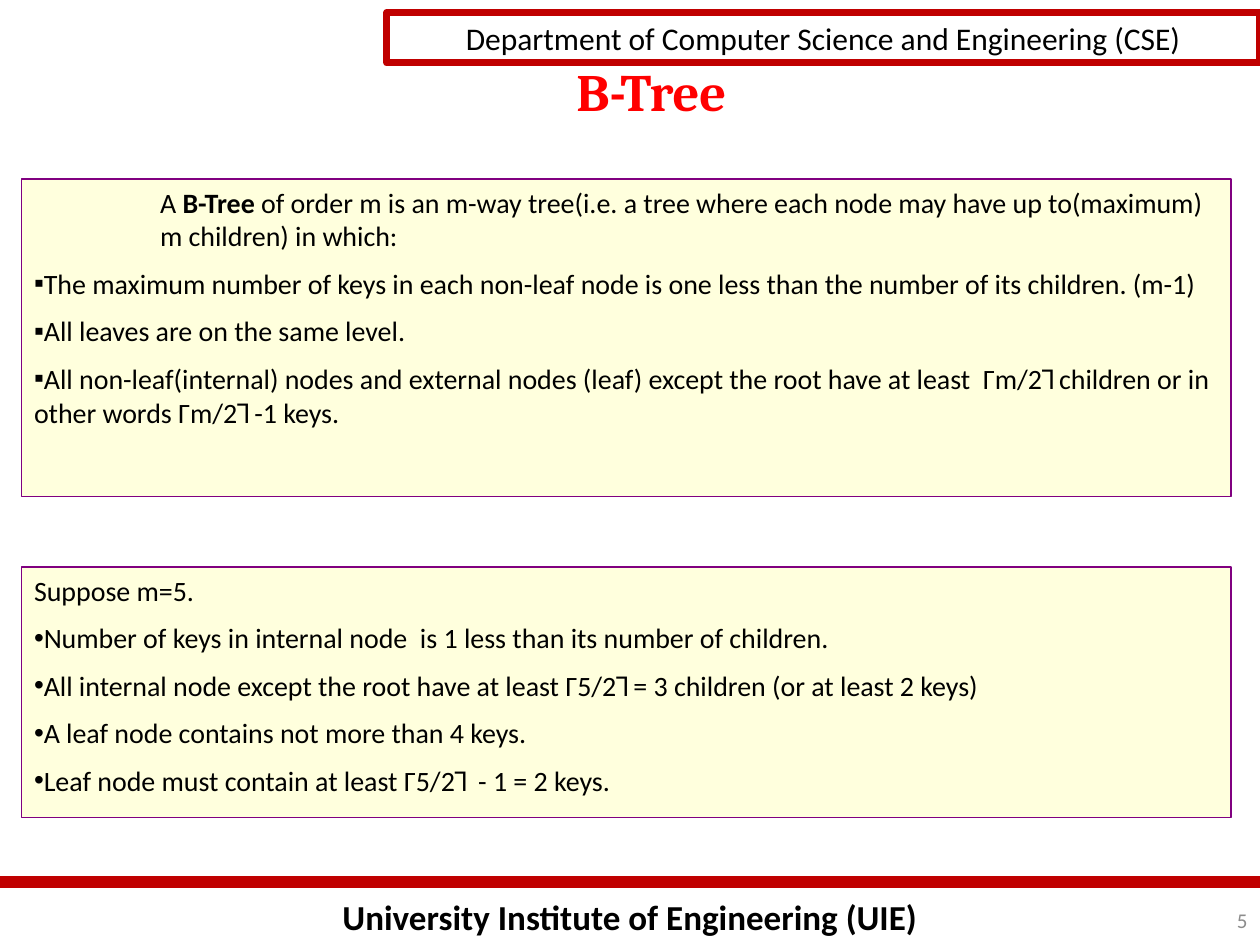
from lxml import etree
from pptx import Presentation
from pptx.dml.color import RGBColor
from pptx.enum.shapes import MSO_CONNECTOR, MSO_SHAPE
from pptx.enum.text import MSO_ANCHOR, MSO_AUTO_SIZE, PP_ALIGN
from pptx.oxml.ns import qn
from pptx.util import Inches, Pt

STRAIGHT = MSO_CONNECTOR.STRAIGHT
RECTANGLE = MSO_SHAPE.RECTANGLE
TOP, MIDDLE = MSO_ANCHOR.TOP, MSO_ANCHOR.MIDDLE
NO_AUTOFIT = MSO_AUTO_SIZE.NONE
LEFT, CENTER, RIGHT = PP_ALIGN.LEFT, PP_ALIGN.CENTER, PP_ALIGN.RIGHT

TWO_CONTENT_LAYOUT = 3
RED = "C00000"
BODY_FORMAT = {"name": "Calibri", "size": Pt(16), "bold": False, "color": "000000"}

DEFINITION = [
    ([("A ", False), ("B-Tree", True),
      (" of order m is an m-way tree(i.e. a tree where each node may have up to(maximum) "
       "m children) in which:", False)], None, 1),
    ([("The maximum number of keys in each non-leaf node is one less than "
       "the number of its children. (m-1)", False)], "▪", 0),
    ([("All leaves are on the same level.", False)], "▪", 0),
    ([("All non-leaf(internal) nodes and external nodes (leaf) except the root have "
       "at least  Гm/2˥ children or in other words Гm/2˥ -1 keys.", False)], "▪", 0),
]
EXAMPLE = [
    ([("Suppose m=5.", False)], None, 0),
    ([("Number of keys in internal node  is 1 less than its number of children.", False)], "•", 0),
    ([("All internal node except the root have at least Г5/2˥ = 3 children "
       "(or at least 2 keys)", False)], "•", 0),
    ([("A leaf node contains not more than 4 keys.", False)], "•", 0),
    ([("Leaf node must contain at least Г5/2˥  - 1 = 2 keys.", False)], "•", 0),
]


def rgb(color):
    return RGBColor.from_string(color)


def place(box, position):
    for name, value in zip(("left", "top", "width", "height"), position):
        setattr(box, name, Inches(value))


def add_span(para, text, formats):
    span = para.add_run()
    span.text = text
    for name, value in formats.items():
        if name == "color":
            span.font.color.rgb = rgb(value)
        else:
            setattr(span.font, name, value)


def set_frame(box, anchor):
    frame_formats = {"word_wrap": True, "auto_size": NO_AUTOFIT, "vertical_anchor": anchor}
    for name, value in frame_formats.items():
        setattr(box.text_frame, name, value)


def write_line(box, text, formats, align, anchor=TOP):
    set_frame(box, anchor)
    para = box.text_frame.paragraphs[0]
    para.alignment = align
    add_span(para, text, formats)


def set_outline(box, color, width):
    box.line.color.rgb = rgb(color)
    box.line.width = Pt(width)


def set_bullet(para, bullet, indent):
    properties = para._p.get_or_add_pPr()
    properties.set("marL", str(Inches(indent)))
    properties.set("indent", "0")
    if bullet:
        etree.SubElement(properties, qn("a:buChar")).set("char", bullet)
    else:
        etree.SubElement(properties, qn("a:buNone"))


def fill_list(box, position, items):
    place(box, position)
    box.fill.solid()
    box.fill.fore_color.rgb = rgb("FFFFDD")
    set_outline(box, "800080", 0.75)
    set_frame(box, TOP)
    frame = box.text_frame
    for index, (spans, bullet, indent) in enumerate(items):
        para = frame.add_paragraph() if index else frame.paragraphs[0]
        para.alignment = LEFT
        para.space_before = Pt(8 if index else 0)
        set_bullet(para, bullet, indent)
        for text, bold in spans:
            add_span(para, text, BODY_FORMAT | {"bold": bold})


def add_label(page, position, text, formats, align, anchor=TOP):
    box = page.shapes.add_textbox(*map(Inches, position))
    write_line(box, text, formats, align, anchor)


def add_header(page):
    box = page.shapes.add_shape(RECTANGLE, *map(Inches, (3.07, 0.1, 6.93, 0.4)))
    box.shadow.inherit = False
    box.fill.background()
    set_outline(box, RED, 4)
    write_line(box, "Department of Computer Science and Engineering (CSE)",
               BODY_FORMAT | {"size": Pt(18)}, CENTER, MIDDLE)


def add_footer_rule(page):
    rule = page.shapes.add_connector(STRAIGHT, *map(Inches, (0, 7, 10, 7)))
    set_outline(rule, RED, 7)
    etree.SubElement(rule._element.spPr, qn("a:effectLst"))


def main():
    deck = Presentation()
    deck.slide_width, deck.slide_height = Inches(10), Inches(7.5)
    page = deck.slides.add_slide(deck.slide_layouts[TWO_CONTENT_LAYOUT])
    title, definition, example = page.placeholders

    add_label(page, (0, 7.06, 10, 0.44), "University Institute of Engineering (UIE)",
              BODY_FORMAT | {"size": Pt(20), "bold": True}, CENTER)
    add_footer_rule(page)
    add_header(page)
    add_label(page, (7.67, 7.1, 2.33, 0.4), "5",
              BODY_FORMAT | {"size": Pt(12), "color": "8C8C8C"}, RIGHT, MIDDLE)

    place(title, (0.92, 0.42, 8.5, 0.83))
    write_line(title, "B-Tree",
               {"name": "Cambria", "size": Pt(30), "bold": True, "color": "FF0000"}, CENTER)
    fill_list(definition, (0.17, 1.42, 9.6, 2.52), DEFINITION)
    fill_list(example, (0.17, 4.5, 9.6, 1.99), EXAMPLE)
    deck.save("out.pptx")


if __name__ == "__main__":
    main()
